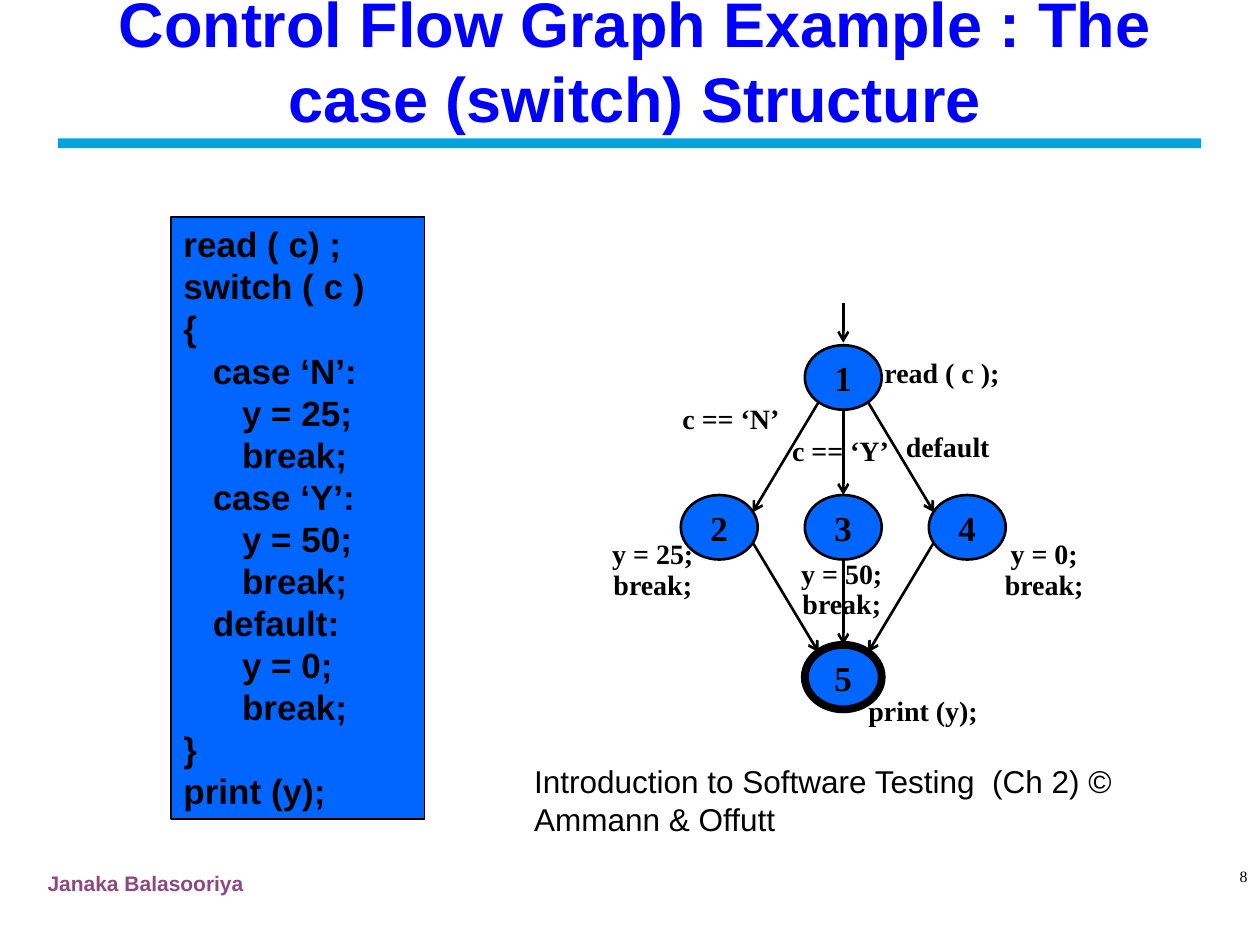
import pptx
import pptx.util
from lxml import etree
from pptx.dml.color import RGBColor
from pptx.enum.shapes import MSO_CONNECTOR, MSO_SHAPE
from pptx.enum.text import MSO_ANCHOR, MSO_AUTO_SIZE, PP_ALIGN
from pptx.oxml.ns import qn

Cm, Pt = pptx.util.Cm, pptx.util.Pt

COLORS = {"title": "0000FF", "rule": "00A2E0", "node": "0066FF",
          "ink": "000000", "author": "8C4881"}
SANS, SERIF = "Arial", "Times New Roman"

TITLE = "Control Flow Graph Example : The case (switch) Structure"
CODE = [(0, "read ( c) ;"), (0, "switch ( c )"), (0, "{"),
        (1, "case ‘N’:"), (2, "y = 25;"), (2, "break;"),
        (1, "case ‘Y’:"), (2, "y = 50;"), (2, "break;"),
        (1, "default:"), (2, "y = 0;"), (2, "break;"),
        (0, "}"), (0, "print (y);")]
# Text, then left, top and width inside the graph box
LABELS = [("read ( c );", 5.41, 0.94, 3.02),
          ("c == ‘N’", 1.42, 1.88, 2.49),
          ("c == ‘Y’", 3.63, 2.51, 2.49),
          ("default", 5.79, 2.44, 2.49),
          ("y = 25;\nbreak;", 0, 4.88, 2.18),
          ("y = 50;\nbreak;", 3.78, 5.28, 2.24),
          ("y = 0;\nbreak;", 7.8, 4.88, 2.36),
          ("print (y);", 5.08, 7.75, 2.92)]


def color(name):
    return RGBColor.from_string(COLORS[name])


def style_text(tf, size, font, ink="ink", bold=False, align=PP_ALIGN.LEFT):
    for p in tf.paragraphs:
        p.alignment = align
        for r in p.runs:
            r.font.size, r.font.name, r.font.bold = Pt(size), font, bold
            r.font.color.rgb = color(ink)


def add_text(s, text, box, size, font, **style):
    sp = s.shapes.add_textbox(*map(Cm, box))
    tf = sp.text_frame
    tf.word_wrap = True
    tf.text = text
    style_text(tf, size, font, **style)
    return tf


def add_block(s, kind, box, fill, line_width=0):
    sp = s.shapes.add_shape(kind, *map(Cm, box))
    sp.shadow.inherit = False
    sp.fill.solid()
    sp.fill.fore_color.rgb = color(fill)
    if line_width:
        sp.line.color.rgb = color("ink")
        sp.line.width = Pt(line_width)
    else:
        sp.line.fill.background()
    return sp


def add_arrow(s, start, end):
    cx = s.shapes.add_connector(MSO_CONNECTOR.STRAIGHT, *map(Cm, start + end))
    cx.line.color.rgb = color("ink")
    cx.line.width = Pt(1.5)
    etree.SubElement(cx.line._get_or_add_ln(), qn("a:tailEnd"), type="arrow")
    etree.SubElement(cx._element.spPr, qn("a:effectLst"))


def add_header(s, left, top, width, height):
    add_block(s, MSO_SHAPE.RECTANGLE, (left - 0.2, top + 2.79, 23.04, 0.2), "rule")
    sp = s.shapes.title
    sp.left, sp.top, sp.width, sp.height = map(Cm, (left, top, width, height))
    tf = sp.text_frame
    tf.text = TITLE
    tf.word_wrap = True
    tf.auto_size = MSO_AUTO_SIZE.NONE
    tf.vertical_anchor = MSO_ANCHOR.MIDDLE
    style_text(tf, 36, SANS, ink="title", bold=True, align=PP_ALIGN.CENTER)


def add_code(s, *box):
    sp = add_block(s, MSO_SHAPE.RECTANGLE, box, "node", 1)
    tf = sp.text_frame
    tf.vertical_anchor = MSO_ANCHOR.TOP
    tf.text = "\n".join(line for _, line in CODE)
    style_text(tf, 20, SANS, bold=True)
    for p, (level, _) in zip(tf.paragraphs, CODE):
        p._p.get_or_add_pPr().set("marL", str(Cm(0.59 * level)))


def add_node(s, number, center, line_width=1.5):
    w, h = 1.55, 1.3
    x, y = center
    sp = add_block(s, MSO_SHAPE.OVAL, (x - w / 2, y - h / 2, w, h), "node", line_width)
    tf = sp.text_frame
    tf.margin_left = tf.margin_right = tf.margin_top = tf.margin_bottom = 0
    tf.vertical_anchor = MSO_ANCHOR.MIDDLE
    tf.text = number
    style_text(tf, 20, SERIF, bold=True, align=PP_ALIGN.CENTER)


def add_graph(s, left, top):
    """Entry node, three case branches and the final node, with their labels."""
    x, y, dx, dy = left + 4.93, top + 1.51, 2.5, 3.02
    last_y = y + 2 * dy
    add_arrow(s, (x, top), (x, y - 0.7))
    for side, number in zip((-1, 0, 1), "234"):
        case_x, case_y = x + side * dx, y + dy
        hub_x = x + side * 0.5
        port_x = case_x - side * 0.67
        port_dy = 0.3 if side else 0.65
        hub_dy = 0.5 if side else 0.65
        add_arrow(s, (hub_x, y + hub_dy), (port_x, case_y - port_dy))
        add_arrow(s, (port_x, case_y + port_dy), (hub_x, last_y - hub_dy))
        add_node(s, number, (case_x, case_y))
    add_node(s, "1", (x, y))
    add_node(s, "5", (x, last_y), 4.5)
    for text, label_x, label_y, width in LABELS:
        lines = text.count("\n") + 1
        tf = add_text(s, text, (left + label_x, top + label_y, width, 0.6 + 0.34 * lines),
                      16, SERIF, bold=True, align=PP_ALIGN.CENTER)
        for p in tf.paragraphs:
            p.space_before = Pt(8)
            if lines > 1:
                p.line_spacing = 0.5


def add_footer(s, left, top, width):
    add_text(s, "Janaka Balasooriya", (left, top, 6.45, 0.76), 12, SANS,
             ink="author", bold=True)
    add_text(s, "8", (left + width - 5.92, top - 0.07, 5.92, 1.32), 9, SERIF,
             align=PP_ALIGN.RIGHT)


def main():
    prs = pptx.Presentation()
    prs.slide_width, prs.slide_height = Cm(25.4), Cm(19.05)
    s = prs.slides.add_slide(prs.slide_layouts[5])
    add_header(s, 1.37, 0, 22.86, 2.41)
    add_code(s, 3.45, 4.37, 5.11, 12.14)
    add_graph(s, 12.07, 6.1)
    add_text(s, "Introduction to Software Testing  (Ch 2) © Ammann & Offutt",
             (10.52, 15.24, 13.77, 2.57), 18, SANS)
    add_footer(s, 0.71, 17.42, 24.69)
    prs.save("out.pptx")


if __name__ == "__main__":
    main()
